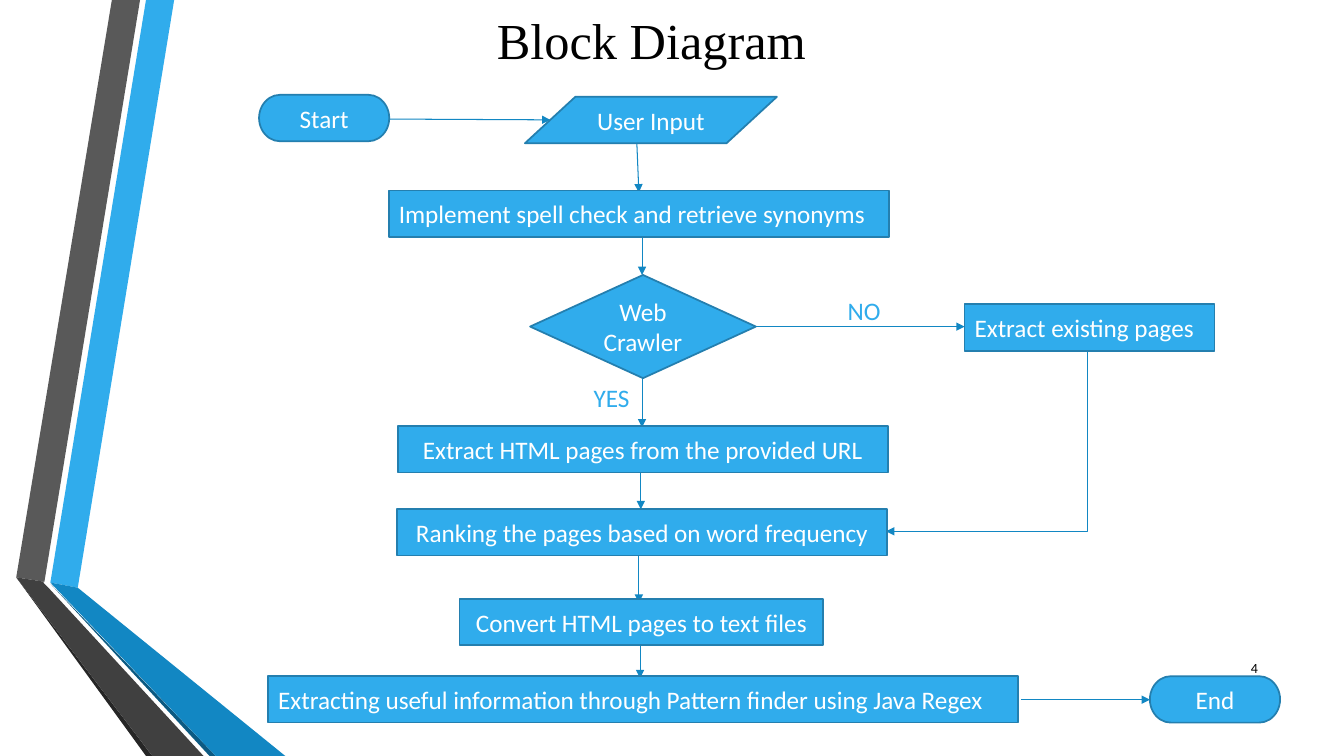
from lxml.etree import SubElement
from pptx import Presentation
from pptx.dml.color import RGBColor
from pptx.enum.shapes import MSO_CONNECTOR, MSO_SHAPE
from pptx.enum.text import MSO_ANCHOR, PP_ALIGN
from pptx.oxml.ns import qn
from pptx.util import Cm, Pt

SKY = RGBColor(0x30, 0xAC, 0xEC)
OUTLINE = RGBColor(0x24, 0x7F, 0xAF)
DEEP_BLUE = RGBColor(0x12, 0x87, 0xC3)
NAVY = RGBColor(0x0C, 0x5A, 0x82)
GREY = RGBColor(0x59, 0x59, 0x59)
CHARCOAL = RGBColor(0x40, 0x40, 0x40)
NEAR_BLACK = RGBColor(0x26, 0x26, 0x26)
BLACK = RGBColor(0, 0, 0)
WHITE = RGBColor(0xFF, 0xFF, 0xFF)

SLIDE_WIDTH, SLIDE_HEIGHT = 33.87, 19.05
STEP_HEIGHT = 1.17
LEFT, CENTER, RIGHT = PP_ALIGN.LEFT, PP_ALIGN.CENTER, PP_ALIGN.RIGHT
PROCESS = MSO_SHAPE.FLOWCHART_PROCESS
TERMINATOR = MSO_SHAPE.FLOWCHART_TERMINATOR

RIBBONS = [
    (SKY, [(1.27, 14.68), (1.96, 14.81), (4.39, 0), (3.68, 0)]),
    (GREY, [(3.53, 0), (2.82, 0), (0.41, 14.55), (1.12, 14.66)]),
    (NEAR_BLACK, [(0.41, 14.55), (3.68, SLIDE_HEIGHT), (3.84, SLIDE_HEIGHT)]),
    (NAVY, [(1.27, 14.71), (5.28, SLIDE_HEIGHT), (5.44, SLIDE_HEIGHT)]),
    (DEEP_BLUE, [(1.27, 14.68), (5.44, SLIDE_HEIGHT), (7.19, SLIDE_HEIGHT), (1.96, 14.81)]),
    (CHARCOAL, [(5.13, SLIDE_HEIGHT), (1.22, 14.81), (1.09, 14.68), (1.12, 14.66),
                (0.41, 14.55), (3.84, SLIDE_HEIGHT)]),
]

ARROWS = [
    ((9.8, 3), (13.87, 3.02)),
    ((16.05, 3.63), (16.1, 4.85)),
    ((16.18, 5.72), (16.18, 6.93)),
    ((19.05, 8.23), (24.31, 8.23)),
    ((16.18, 9.55), (16.18, 10.77)),
    ((16.15, 11.38), (16.15, 12.83)),
    ((16.1, 13.97), (16.1, 15.19)),
    ((16.13, 15.88), (16.13, 17.09)),
    ((25.73, 17.63), (28.98, 17.63)),
]

# kind, text, left, top, width, height, alignment
STEPS = [
    (TERMINATOR, "Start", 6.53, 2.39, 3.28, STEP_HEIGHT, CENTER),
    (MSO_SHAPE.FLOWCHART_DATA, "User Input", 13.23, 2.44, 6.35, STEP_HEIGHT, CENTER),
    (PROCESS, "Implement spell check and retrieve synonyms", 9.8, 4.8, 12.6, STEP_HEIGHT, LEFT),
    (MSO_SHAPE.FLOWCHART_DECISION, "Web Crawler", 13.36, 6.93, 5.69, 2.6, CENTER),
    (PROCESS, "Extract existing pages", 24.31, 7.67, 6.3, STEP_HEIGHT, LEFT),
    (PROCESS, "Extract HTML pages from the provided URL", 10.03, 10.74, 12.34, STEP_HEIGHT, CENTER),
    (PROCESS, "Ranking the pages based on word frequency", 10.01, 12.83, 12.34, STEP_HEIGHT, CENTER),
    (PROCESS, "Convert HTML pages to text files", 11.58, 15.09, 9.17, STEP_HEIGHT, CENTER),
    (PROCESS, "Extracting useful information through Pattern finder using Java Regex",
     6.76, 17.04, 18.9, STEP_HEIGHT, LEFT),
    (TERMINATOR, "End", 28.98, 17.04, 3.28, STEP_HEIGHT, CENTER),
]


def write(frame, text, size, color, align, font="Calibri", anchor=MSO_ANCHOR.MIDDLE):
    frame.vertical_anchor = anchor
    paragraph = frame.paragraphs[0]
    paragraph.alignment = align
    run = paragraph.add_run()
    run.text = text
    run.font.name = font
    run.font.size = Pt(size)
    run.font.color.rgb = color


def add_ribbon(slide, color, corners):
    start, *others = [(Cm(x), Cm(y)) for x, y in corners]
    builder = slide.shapes.build_freeform(*start)
    builder.add_line_segments(others)
    ribbon = builder.convert_to_shape()
    ribbon.shadow.inherit = False
    ribbon.fill.solid()
    ribbon.fill.fore_color.rgb = color
    ribbon.line.fill.background()


def add_arrow(slide, start, end, kind=MSO_CONNECTOR.STRAIGHT):
    arrow = slide.shapes.add_connector(kind, *map(Cm, start + end))
    arrow.line.color.rgb = DEEP_BLUE
    arrow.line.width = Pt(0.75)
    SubElement(arrow.line._get_or_add_ln(), qn("a:tailEnd"), type="triangle")
    SubElement(arrow._element.spPr, qn("a:effectLst"))
    return arrow


def add_elbow_arrow(slide, start, end, bend):
    """Place the bend after the given share of the width, in 1/100000."""
    arrow = add_arrow(slide, start, end, MSO_CONNECTOR.ELBOW)
    adjustments = arrow._element.spPr.find(qn("a:prstGeom")).get_or_add_avLst()
    SubElement(adjustments, qn("a:gd"), name="adj1", fmla=f"val {bend}")


def add_step(slide, kind, text, left, top, width, height, align):
    step = slide.shapes.add_shape(kind, Cm(left), Cm(top), Cm(width), Cm(height))
    step.shadow.inherit = False
    step.fill.solid()
    step.fill.fore_color.rgb = SKY
    step.line.color.rgb = OUTLINE
    step.line.width = Pt(1.25)
    step.text_frame.word_wrap = True
    write(step.text_frame, text, 18, WHITE, align)


def add_label(slide, text, left, top, width, height, size, color, align, wrap=True, **style):
    label = slide.shapes.add_textbox(Cm(left), Cm(top), Cm(width), Cm(height))
    label.text_frame.word_wrap = wrap
    write(label.text_frame, text, size, color, align, **style)


def main():
    deck = Presentation()
    deck.slide_width, deck.slide_height = Cm(SLIDE_WIDTH), Cm(SLIDE_HEIGHT)
    slide = deck.slides.add_slide(deck.slide_layouts[6])

    for color, corners in RIBBONS:
        add_ribbon(slide, color, corners)
    add_label(slide, "Block Diagram", 11.63, 0.33, 9.58, 1.3, 36, BLACK, CENTER,
              font="Times New Roman")
    for start, end in ARROWS:
        add_arrow(slide, start, end)
    add_elbow_arrow(slide, (27.46, 8.56), (22.33, 13.39), 1200)
    for step in STEPS:
        add_step(slide, *step)
    add_label(slide, "NO", 21.11, 7.32, 1.47, 1.02, 18, SKY, LEFT, anchor=MSO_ANCHOR.TOP)
    add_label(slide, "YES", 14.71, 9.5, 1.42, 1.02, 18, SKY, LEFT, wrap=False,
              anchor=MSO_ANCHOR.TOP)
    add_label(slide, "4", 30.43, 16.31, 1.52, 1.02, 10, BLACK, RIGHT)

    deck.save("out.pptx")


if __name__ == "__main__":
    main()
